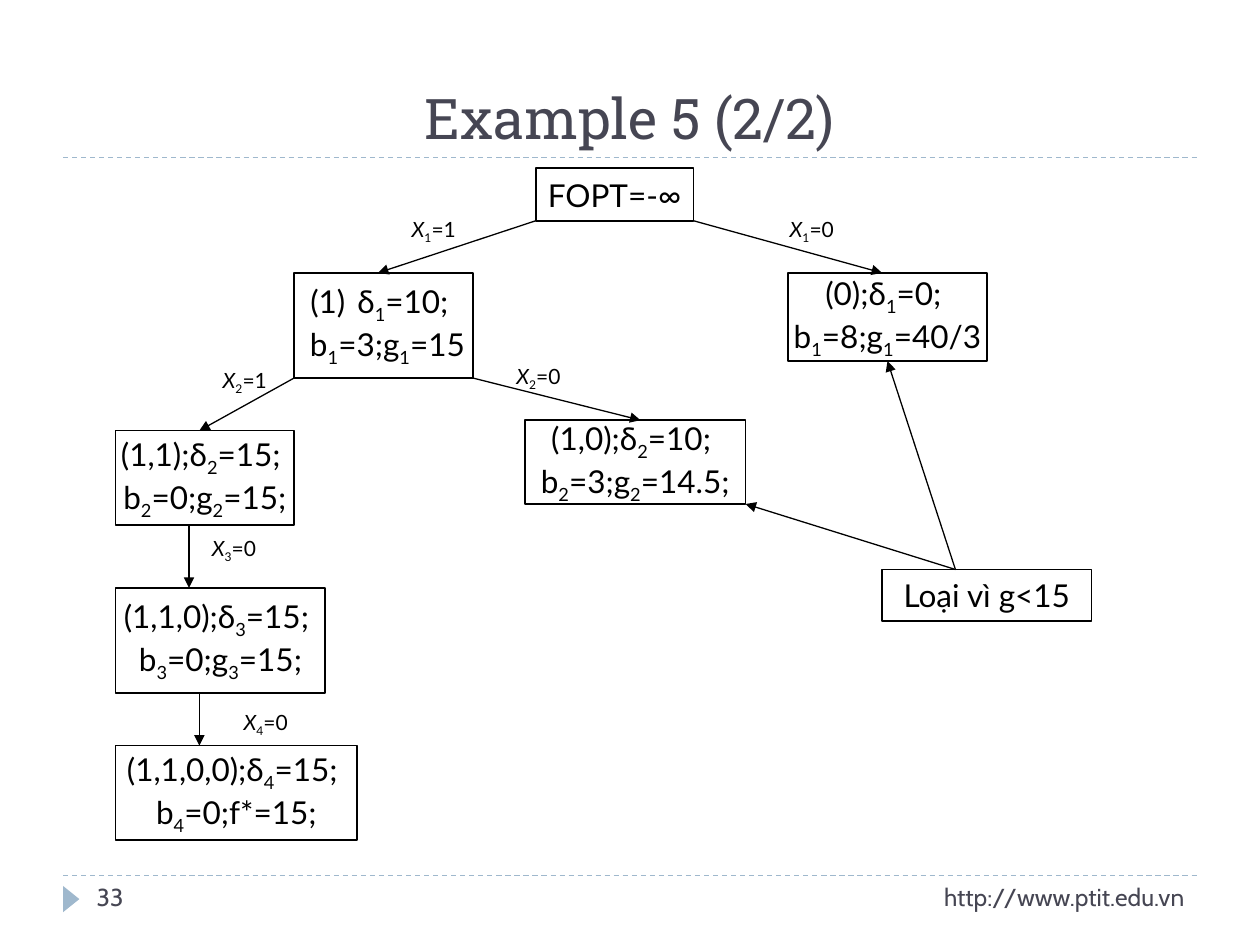
from lxml.etree import SubElement
from pptx import Presentation
from pptx.dml.color import RGBColor
from pptx.enum.dml import MSO_LINE_DASH_STYLE as DASH
from pptx.enum.shapes import MSO_CONNECTOR, MSO_SHAPE
from pptx.enum.text import MSO_ANCHOR as ANCHOR, MSO_AUTO_SIZE as FIT, PP_ALIGN as ALIGN
from pptx.oxml.ns import qn
from pptx.util import Cm, Pt

BLACK = RGBColor(0x00, 0x00, 0x00)
SLATE = RGBColor(0x46, 0x46, 0x53)
PALE_BLUE = RGBColor(0x9F, 0xB8, 0xCD)

# Content: an underscore lowers the character after it; lengths in cm
TITLE = "Example 5 (2/2)"
PAGE_NUMBER = "33"
SITE = "http://www.ptit.edu.vn"

# name: (lines, left, top, width, height)
NODES = {
    "root": (["FOPT=-∞"], 10.8, 3.39, 3.18, 1.06),
    "1": (["δ_1=10; ", " b_1=3;g_1=15"], 5.93, 5.5, 3.6, 2.12),
    "0": (["(0);δ_1=0; ", "b_1=8;g_1=40/3"], 15.88, 5.5, 4.02, 1.78),
    "1,1": (["(1,1);δ_2=15; ", "b_2=0;g_2=15;"], 2.33, 8.68, 3.6, 1.91),
    "1,0": (["(1,0);δ_2=10; ", "b_2=3;g_2=14.5;"], 10.58, 8.47, 4.45, 1.69),
    "1,1,0": (["(1,1,0);δ_3=15; ", "b_3=0;g_3=15;"], 2.33, 11.85, 4.23, 2.12),
    "1,1,0,0": (["(1,1,0,0);δ_4=15; ", "b_4=0;f*=15;"], 2.33, 15.03, 4.87, 1.91),
    "rejected": (["Loại vì g<15"], 17.78, 11.48, 4.23, 1.04),
}
NUMBERED_NODE = "1"

# (start node, start x, end node, end x)
ARROWS = [
    ("root", 10.8, "1", 7.62),
    ("root", 13.98, "0", 17.78),
    ("1", 5.93, "1,1", 4.02),
    ("1", 9.53, "1,0", 12.91),
    ("1,1", 3.81, "1,1,0", 3.81),
    ("1,1,0", 4.02, "1,1,0,0", 4.02),
    ("rejected", 19.26, "0", 17.89),
    ("rejected", 19.26, "1,0", 15.03),
]

# (rest of the label after X, left, top)
CHOICES = [
    ("_1=1", 8.05, 4.24), ("_1=0", 15.67, 4.24),
    ("_2=1", 4.24, 7.28), ("_2=0", 10.16, 7.2),
    ("_3=0", 4.02, 10.67), ("_4=0", 4.66, 14.18),
]

prs = Presentation()
prs.slide_width, prs.slide_height = Cm(25.4), Cm(19.05)
slide = prs.slides.add_slide(prs.slide_layouts[5])
shapes = slide.shapes


def write(shape, lines, size=18, font="Lato", color=BLACK, align=ALIGN.LEFT,
          anchor=ANCHOR.TOP, wrap=True, inset=None, hanging=0, numbered=False, italic=""):
    """Fill a shape with lines of text, after an optional italic start."""
    frame = shape.text_frame
    frame.auto_size = FIT.NONE
    frame.word_wrap, frame.vertical_anchor = wrap, anchor
    if inset is not None:
        frame.margin_left = frame.margin_right = Cm(inset)
        frame.margin_top = frame.margin_bottom = Cm(inset)
    for index, line in enumerate(lines):
        paragraph = frame.paragraphs[0] if index == 0 else frame.add_paragraph()
        paragraph.alignment = align
        props = paragraph._p.get_or_add_pPr()
        if hanging:
            props.set("marL", str(Cm(hanging)))
            props.set("indent", str(-Cm(hanging)))
        if numbered and index == 0:
            SubElement(props, qn("a:buAutoNum"), type="arabicParenBoth")
        first, *rest = line.split("_")
        pieces = [(italic, "i"), (first, "")]
        for part in rest:
            pieces += [(part[0], "sub"), (part[1:], "")]
        for text, style in pieces:
            if not text:
                continue
            run = paragraph.add_run()
            run.text = text
            run.font.size, run.font.name = Pt(size), font
            run.font.color.rgb = color
            run.font.italic = style == "i"
            if style == "sub":
                run.font._element.set("baseline", "-25000")


def add_line(x1, y1, x2, y2, color, arrow=False):
    line = shapes.add_connector(MSO_CONNECTOR.STRAIGHT, Cm(x1), Cm(y1), Cm(x2), Cm(y2))
    line.line.color.rgb, line.line.width = color, Pt(0.75)
    if arrow:
        SubElement(line.line._get_or_add_ln(), qn("a:tailEnd"), type="triangle")
    else:
        line.line.dash_style = DASH.DASH
    SubElement(line._element.spPr, qn("a:effectLst"))


def add_text(left, top, width, height, lines, **style):
    write(shapes.add_textbox(Cm(left), Cm(top), Cm(width), Cm(height)), lines, **style)


# Title, rules and footer
title = shapes.title
title.left, title.top, title.width, title.height = Cm(1.27), Cm(0.43), Cm(22.86), Cm(2.74)
write(title, [TITLE], size=32, font="Roboto Slab", color=SLATE,
      align=ALIGN.CENTER, anchor=ANCHOR.BOTTOM)
for rule_y in (3.18, 17.65):
    add_line(1.27, rule_y, 24.13, rule_y, PALE_BLUE)
marker = shapes.add_shape(MSO_SHAPE.ISOSCELES_TRIANGLE, Cm(1.17), Cm(17.96), Cm(0.53), Cm(0.33))
marker.rotation = 90
marker.shadow.inherit = False
marker.fill.solid()
marker.fill.fore_color.rgb = PALE_BLUE
marker.line.fill.background()
footer = dict(size=14, font="Cabin", color=SLATE)
add_text(14.4, 17.65, 9.73, 1.02, [SITE], align=ALIGN.RIGHT, **footer)
add_text(1.7, 17.65, 5.51, 1.02, [PAGE_NUMBER], **footer)

# Tree nodes
for name, (lines, left, top, width, height) in NODES.items():
    node = shapes.add_shape(MSO_SHAPE.RECTANGLE, Cm(left), Cm(top), Cm(width), Cm(height))
    node.shadow.inherit = False
    node.fill.background()
    node.line.color.rgb = BLACK
    node.line.width = Pt(0.75 if name == "rejected" else 1)
    write(node, lines, align=ALIGN.CENTER, anchor=ANCHOR.MIDDLE, wrap=False, inset=0,
          hanging=0.95 if len(lines) > 1 else 0, numbered=name == NUMBERED_NODE)

# Arrows join the facing edges of two nodes
for start, start_x, end, end_x in ARROWS:
    _, _, start_top, _, start_height = NODES[start]
    _, _, end_top, _, end_height = NODES[end]
    if start_top < end_top:
        start_y, end_y = start_top + start_height, end_top
    else:
        start_y, end_y = start_top, end_top + end_height
    add_line(start_x, start_y, end_x, end_y, BLACK, arrow=True)

# Branch labels
for choice, left, top in CHOICES:
    add_text(left, top, 1.91, 0.76, [choice], size=12, italic="X")

prs.save("out.pptx")
